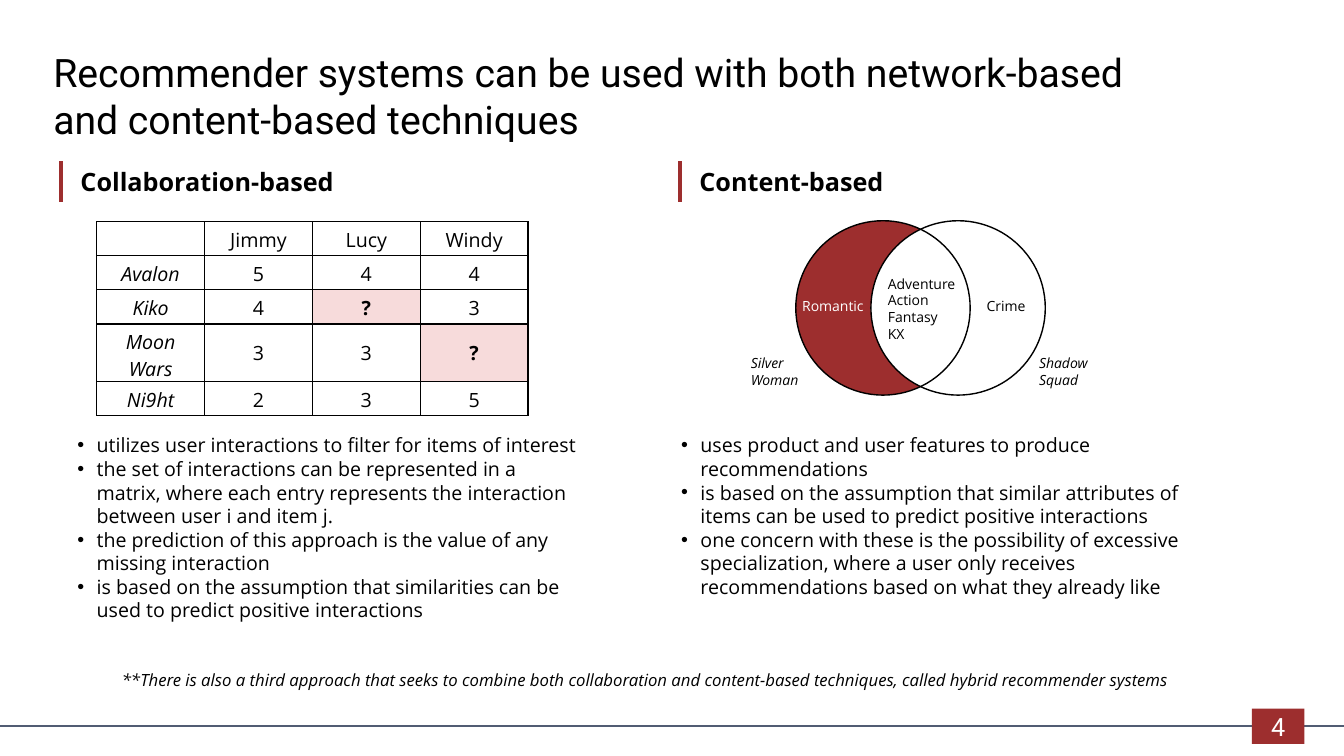
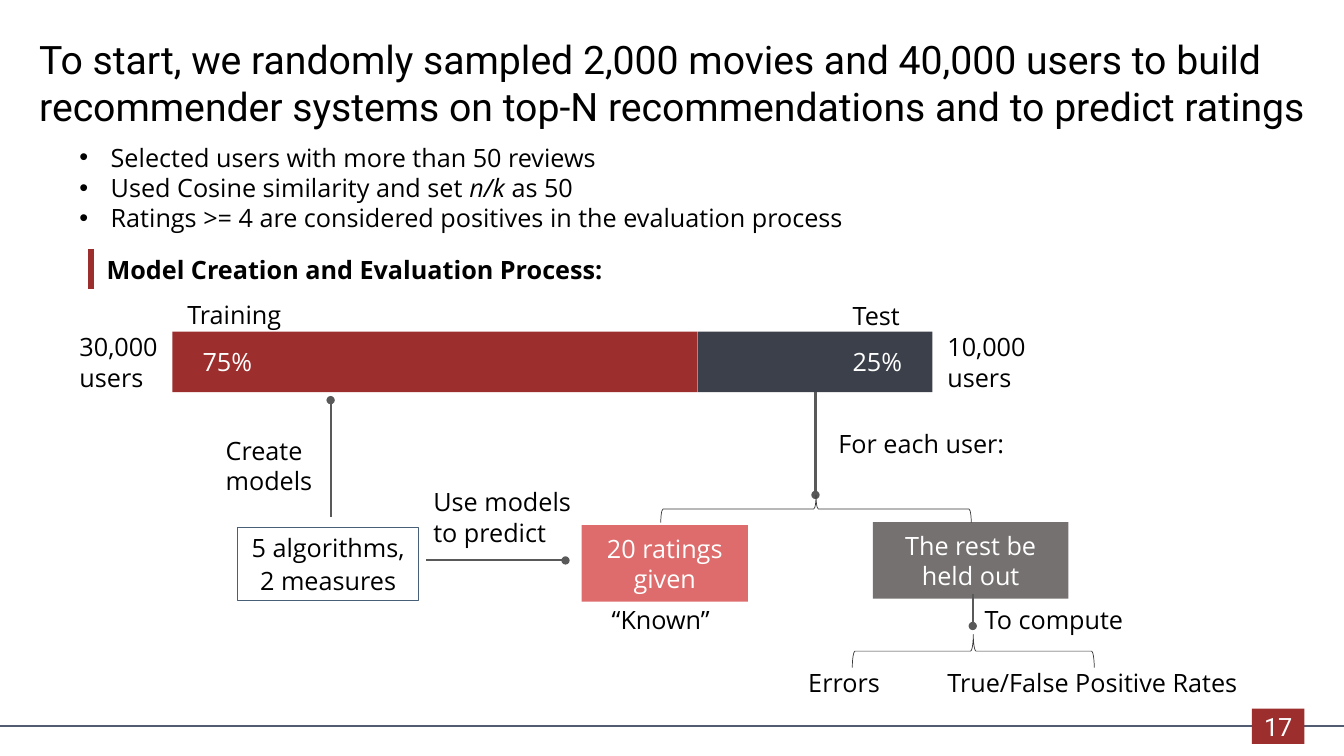
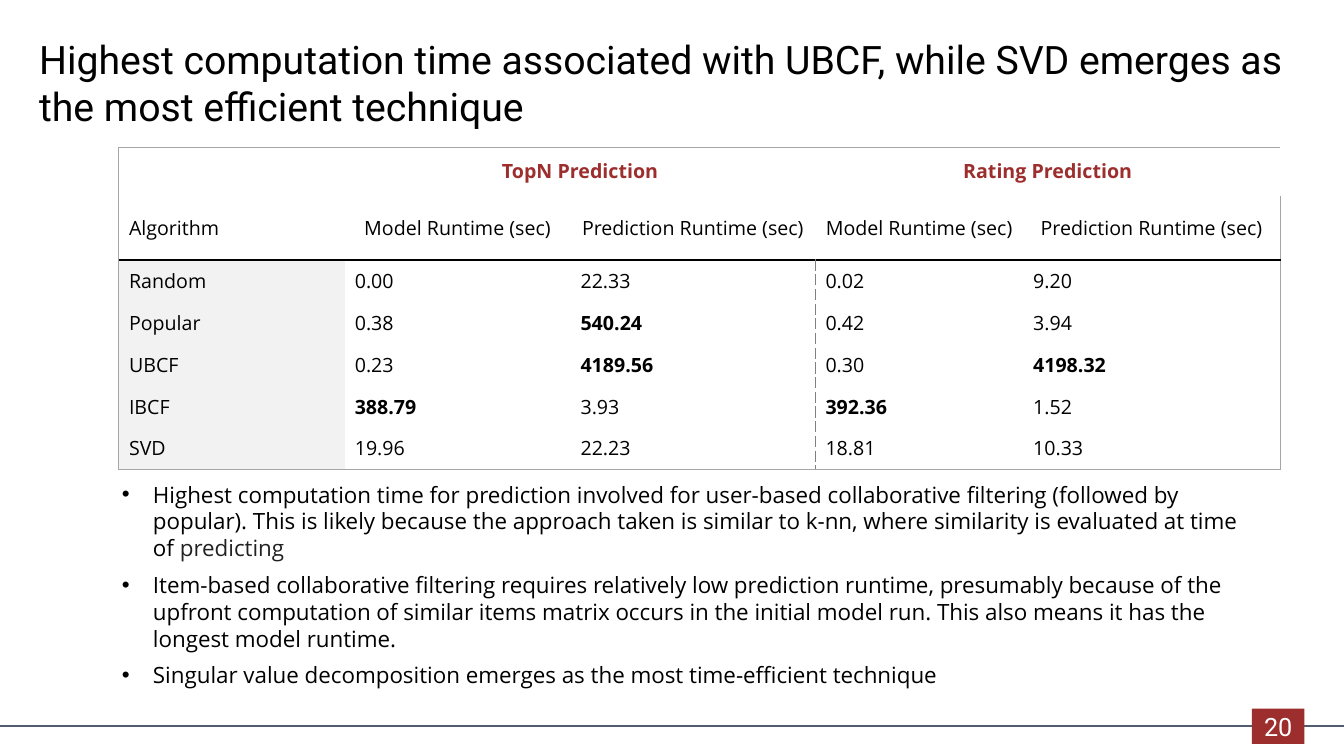
import dataclasses
import typing

import lxml.etree
import pptx
import pptx.dml.color
import pptx.enum.dml
import pptx.enum.shapes
import pptx.enum.text
import pptx.oxml.ns
import pptx.slide
import pptx.util

COLUMNS, ROWS = 133.33, 75
RED, PINK, CORAL, SLATE = "9D2E2E", "F7DBDB", "DE6C6C", "3B404A"
BLACK, WHITE, GREY, ARROW = "000000", "FFFFFF", "767171", "595959"
SHAPES = pptx.enum.shapes.MSO_SHAPE
LEFT, CENTER, RIGHT = (
    pptx.enum.text.PP_ALIGN.LEFT,
    pptx.enum.text.PP_ALIGN.CENTER,
    pptx.enum.text.PP_ALIGN.RIGHT,
)


class Box(typing.NamedTuple):
    left: float
    top: float
    width: float
    height: float


class Edge(typing.NamedTuple):
    color: str
    width: float
    dash: str = "solid"


class Label(typing.NamedTuple):
    text: str
    box: Box


class Block(typing.NamedTuple):
    text: str
    box: Box
    fill: str | None
    align: typing.Any = CENTER


class Arrow(typing.NamedTuple):
    dot: tuple[float, float]
    end: tuple[float, float]


@dataclasses.dataclass(frozen=True)
class Style:
    size: float = 18
    color: str = BLACK
    font: str = "Open Sans"
    bold: bool = False
    italic: bool = False
    align: typing.Any = LEFT
    indent: float = 0
    gap: float = 0


TITLE = Style(28, font="Roboto")
HEADING = Style(bold=True)
LABEL = Style()
CELL = Style(14)


def grid(cells: float) -> int:
    return pptx.util.Inches(cells / 10)


def place(box: Box) -> list[int]:
    return [grid(length) for length in box]


def rgb(color: str) -> pptx.dml.color.RGBColor:
    return pptx.dml.color.RGBColor.from_string(color)


def add_element(parent: typing.Any, tag: str, **attributes: str) -> typing.Any:
    return lxml.etree.SubElement(parent, pptx.oxml.ns.qn(tag), attributes)


def format_run(run: typing.Any, style: Style) -> None:
    run.font.size = pptx.util.Pt(style.size)
    run.font.name = style.font
    run.font.bold = style.bold
    run.font.italic = style.italic
    run.font.color.rgb = rgb(style.color)


def write(text_frame: typing.Any, text: str, style: Style) -> None:
    text_frame.text = text
    for index, paragraph in enumerate(text_frame.paragraphs):
        if style.indent:
            properties = paragraph._p.get_or_add_pPr()
            properties.set("marL", str(grid(style.indent)))
            properties.set("indent", str(-grid(style.indent)))
            add_element(properties, "a:buFont", typeface="Arial")
            add_element(properties, "a:buChar", char="•")
        paragraph.alignment = style.align
        if index and style.gap:
            paragraph.space_before = pptx.util.Pt(style.gap)
        for run in paragraph.runs:
            format_run(run, style)
        if not paragraph.runs:
            add_element(paragraph._p, "a:endParaRPr", sz=str(int(style.size * 100)))


def mark(paragraph: typing.Any, part: str, style: Style, marked: Style) -> None:
    before, found, after = paragraph.text.partition(part)
    paragraph.text = before
    format_run(paragraph.runs[0], style)
    for text, look in ((found, marked), (after, style)):
        if text:
            run = paragraph.add_run()
            run.text = text
            format_run(run, look)


def add_text(slide: pptx.slide.Slide, label: Label, style: Style, wrap: bool = True) -> typing.Any:
    text_frame = slide.shapes.add_textbox(*place(label.box)).text_frame
    text_frame.word_wrap = wrap
    write(text_frame, label.text, style)
    return text_frame


def add_shape(
    slide: pptx.slide.Slide,
    kind: typing.Any,
    box: Box,
    fill: str | None = None,
    edge: Edge | None = None,
) -> typing.Any:
    shape = slide.shapes.add_shape(kind, *place(box))
    shape.shadow.inherit = False
    if fill:
        shape.fill.solid()
        shape.fill.fore_color.rgb = rgb(fill)
    else:
        shape.fill.background()
    if edge:
        shape.line.color.rgb = rgb(edge.color)
        shape.line.width = pptx.util.Pt(edge.width)
    else:
        shape.line.fill.background()
    return shape


def add_line(slide: pptx.slide.Slide, line: Arrow, edge: Edge, dotted: bool = False) -> None:
    connector = slide.shapes.add_connector(
        pptx.enum.shapes.MSO_CONNECTOR.STRAIGHT, *[grid(value) for value in line.dot + line.end]
    )
    connector.line.color.rgb = rgb(edge.color)
    connector.line.width = pptx.util.Pt(edge.width)
    if dotted:
        add_element(connector.line._get_or_add_ln(), "a:headEnd", type="oval")
    add_element(connector._element.spPr, "a:effectLst")


def add_brace(slide: pptx.slide.Slide, box: Box) -> None:
    shift = (box.width - box.height) / 2
    upright = Box(box.left + shift, box.top - shift, box.height, box.width)
    brace = add_shape(slide, SHAPES.LEFT_BRACE, upright, edge=Edge("3B3838", 0.5))
    brace.rotation = 90


def add_heading(slide: pptx.slide.Slide, label: Label, bar: float, weight: float) -> None:
    add_text(slide, label, HEADING)
    add_line(slide, Arrow((bar, label.box.top), (bar, label.box.top + 4)), Edge(RED, weight))


def add_table(
    slide: pptx.slide.Slide, box: Box, widths: list[float], heights: list[float]
) -> typing.Any:
    table = slide.shapes.add_table(len(heights), len(widths), *place(box)).table
    table.first_row = table.horz_banding = False
    for column, width in zip(table.columns, widths):
        column.width = grid(width)
    for row, height in zip(table.rows, heights):
        row.height = grid(height)
    return table


def fill_cell(
    cell: typing.Any, text: str, style: Style, fill: str | None, edges: dict[str, Edge]
) -> None:
    write(cell.text_frame, text, style)
    cell.vertical_anchor = pptx.enum.text.MSO_ANCHOR.MIDDLE
    if fill:
        cell.fill.solid()
        cell.fill.fore_color.rgb = rgb(fill)
    else:
        cell.fill.background()
    properties = cell._tc.get_or_add_tcPr()
    for index, side in enumerate("LRTB"):
        edge = edges.get(side)
        line = add_element(properties, f"a:ln{side}")
        if edge:
            line.set("w", str(pptx.util.Pt(edge.width)))
            add_element(add_element(line, "a:solidFill"), "a:srgbClr", val=edge.color)
            add_element(line, "a:prstDash", val=edge.dash)
        else:
            add_element(line, "a:noFill")
        properties.insert(index, line)


def start_slide(
    presentation: typing.Any, number: int, title: str, box: Box = Box(2.9, 3, 128, 10.4)
) -> pptx.slide.Slide:
    slide = presentation.slides.add_slide(presentation.slide_layouts[6])
    add_line(slide, Arrow((0, 72), (COLUMNS, 72)), Edge("515C73", 1.5))
    badge = add_shape(slide, SHAPES.RECTANGLE, Box(124.2, 70.3, 5.2, 3.5), RED)
    write(badge.text_frame, str(number), Style(color=WHITE, font="Roboto", align=CENTER))
    add_text(slide, Label(title, box), TITLE)
    return slide


def add_ratings(slide: pptx.slide.Slide) -> None:
    ratings = [
        ["", "Jimmy", "Lucy", "Windy"],
        ["Avalon", "5", "4", "4"],
        ["Kiko", "4", "?", "3"],
        ["Moon Wars", "3", "3", "?"],
        ["Ni9ht", "2", "3", "5"],
    ]
    table = add_table(slide, Box(9.6, 22, 42.8, 16.9), [10.7] * 4, [3.38] * 5)
    edges = dict.fromkeys("LRTB", Edge(BLACK, 1))
    for row, texts in enumerate(ratings):
        for column, text in enumerate(texts):
            unknown = text == "?"
            style = dataclasses.replace(CELL, align=CENTER, bold=unknown, italic=column == 0)
            fill_cell(table.cell(row, column), text, style, PINK if unknown else None, edges)


def add_venn(slide: pptx.slide.Slide) -> None:
    left, right = Box(78.95, 21.9, 17.3, 17.3), Box(86.4, 21.9, 17.3, 17.3)
    outline = Edge(BLACK, 1)
    for circle, fill, edge in ((left, RED, None), (right, WHITE, outline), (left, None, outline)):
        add_shape(slide, SHAPES.OVAL, circle, fill, edge)
    small = Style(10)
    slanted = Style(10, italic=True)
    add_text(slide, Label("Adventure\nAction\nFantasy\nKX", Box(87.1, 26.8, 9.6, 7.7)), small)
    for label, style in (
        (Label("Romantic", Box(78.6, 29, 8.2, 2.7)), Style(10, WHITE)),
        (Label("Crime", Box(96.9, 29, 5.9, 2.7)), small),
        (Label("Silver\nWoman", Box(73.5, 34.7, 7.2, 4.4)), slanted),
        (Label("Shadow\nSquad", Box(102.1, 34.7, 7.2, 4.4)), slanted),
    ):
        add_text(slide, label, style, wrap=False)


def build_techniques(presentation: typing.Any) -> None:
    slide = start_slide(
        presentation,
        4,
        "Recommender systems can be used with both network-based and content-based techniques",
        Box(4.3, 4.3, 111.2, 10.4),
    )
    add_ratings(slide)
    add_venn(slide)
    for text, left in (("Collaboration-based", 7), ("Content-based", 68.4)):
        add_heading(slide, Label(text, Box(left, 16, 41.8, 4)), left - 0.95, 3)
    bullets = Style(14, indent=1.9)
    add_text(slide, Label(
        "utilizes user interactions to filter for items of interest\n"
        "the set of interactions can be represented in a matrix, where each entry represents "
        "the interaction between user i and item j.\n"
        "the prediction of this approach is the value of any missing interaction\n"
        "is based on the assumption that similarities can be used to predict positive interactions",
        Box(6.7, 42.5, 51.9, 19.9)), bullets)
    add_text(slide, Label(
        "uses product and user features to produce recommendations\n"
        "is based on the assumption that similar attributes of items can be used to predict "
        "positive interactions\n"
        "one concern with these is the possibility of excessive specialization, where a user "
        "only receives recommendations based on what they already like",
        Box(66.6, 42.5, 53.1, 17.5)), bullets)
    add_text(slide, Label(
        "**There is also a third approach that seeks to combine both collaboration and "
        "content-based techniques, called hybrid recommender systems",
        Box(11.1, 66, 112.6, 3)), Style(12, italic=True))


def build_process(presentation: typing.Any) -> None:
    slide = start_slide(
        presentation,
        17,
        "To start, we randomly sampled 2,000 movies and 40,000 users to build recommender "
        "systems on top-N recommendations and to predict ratings",
    )
    settings = add_text(slide, Label(
        "Selected users with more than 50 reviews\n"
        "Used Cosine similarity and set n/k as 50\n"
        "Ratings >= 4 are considered positives in the evaluation process",
        Box(6.9, 13.6, 98, 10)), Style(indent=3.1))
    mark(settings.paragraphs[1], "n/k", LABEL, Style(italic=True))
    add_heading(
        slide, Label("Model Creation and Evaluation Process:", Box(9.6, 24.7, 53, 4)), 9, 4.5
    )
    for block in (
        Block("75%", Box(17.1, 32.9, 52.1, 6), RED, LEFT),
        Block("25%", Box(69.2, 32.9, 23.3, 6), SLATE, RIGHT),
        Block("The rest be held out", Box(86.6, 51.8, 19.4, 7.6), GREY),
        Block("20 ratings given", Box(57.7, 52.1, 16.5, 7.6), CORAL),
        Block("5 algorithms,\n2 measures", Box(23.6, 52.3, 17.9, 7.3), None),
    ):
        edge = None if block.fill else Edge("475F77", 0.75)
        shape = add_shape(slide, SHAPES.RECTANGLE, block.box, block.fill, edge)
        color = WHITE if block.fill else BLACK
        write(shape.text_frame, block.text,
              Style(color=color, align=block.align, gap=0 if block.fill else 2))
        if block.align != CENTER:
            shape.text_frame.margin_left = shape.text_frame.margin_right = grid(3)
    for label in (
        Label("30,000\nusers", Box(6.9, 32.4, 10.5, 7.1)),
        Label("10,000\nusers", Box(93, 32.4, 10.5, 7.1)),
        Label("Training", Box(17.6, 29.2, 12, 4)),
        Label("Test", Box(83.6, 29.3, 10.8, 4)),
        Label("For each user:", Box(82.2, 42, 24.4, 4)),
        Label("Create\nmodels", Box(21.4, 42.7, 10.9, 7.1)),
        Label("Use models\nto predict", Box(42, 47.8, 16.8, 7.1)),
        Label("“Known”", Box(59.7, 59.5, 13.2, 4)),
        Label("To compute", Box(96.7, 59.5, 17.2, 4)),
        Label("Errors", Box(79.2, 65.7, 10.7, 4)),
        Label("True/False Positive Rates", Box(93, 65.7, 32.1, 4)),
    ):
        add_text(slide, label, LABEL)
    for arrow in (
        Arrow((80.9, 49.1), (80.9, 38.9)),
        Arrow((32.8, 39.7), (32.8, 51.3)),
        Arrow((56.1, 55.6), (42.3, 55.6)),
        Arrow((96.5, 62.1), (96.5, 58.9)),
    ):
        add_line(slide, arrow, Edge(ARROW, 1.5), dotted=True)
    add_brace(slide, Box(65.55, 49.15, 30.8, 2.7))
    add_brace(slide, Box(84.55, 62.95, 24, 3.3))


def runtime_edges(row: int, column: int, last_row: int, last_column: int) -> dict[str, Edge]:
    frame, rule, divider = Edge("A6A6A6", 0.75), Edge(BLACK, 1), Edge("808080", 1, "dash")
    rules = (
        ("L", column == 0, frame),
        ("R", column == last_column, frame),
        ("T", row == 0, frame),
        ("B", row == last_row, frame),
        ("B", row == 1, rule),
        ("T", row == 2, rule),
        ("R", row > 1 and column == 2, divider),
        ("L", row > 1 and column == 3, divider),
    )
    return {side: edge for side, applies, edge in rules if applies}


def build_runtimes(presentation: typing.Any) -> None:
    slide = start_slide(
        presentation,
        20,
        "Highest computation time associated with UBCF, while SVD emerges as the most "
        "efficient technique",
    )
    runtimes = [
        ["", "TopN Prediction", "", "Rating Prediction", ""],
        ["Algorithm"] + ["Model Runtime (sec)", "Prediction Runtime (sec)"] * 2,
        ["Random", "0.00", "22.33", "0.02", "9.20"],
        ["Popular", "0.38", "540.24", "0.42", "3.94"],
        ["UBCF", "0.23", "4189.56", "0.30", "4198.32"],
        ["IBCF", "388.79", "3.93", "392.36", "1.52"],
        ["SVD", "19.96", "22.23", "18.81", "10.33"],
    ]
    table = add_table(slide, Box(11.8, 14.6, 115.3, 31.9),
                      [22.4, 22.4, 24.3, 20.6, 25.5], [4.8, 6.4] + [4.15] * 5)
    for row, texts in enumerate(runtimes):
        for column, text in enumerate(texts):
            header = row < 2 and column > 0
            slow = row > 1 and column > 0 and float(text) > 100
            style = Style(14, RED if row == 0 else BLACK, bold=row == 0 or slow,
                          align=CENTER if header else LEFT)
            fill = "F2F2F2" if row > 1 and column == 0 else None
            fill_cell(table.cell(row, column), text, style, fill, runtime_edges(row, column, 6, 4))
    for column in (1, 3):
        table.cell(0, column).merge(table.cell(0, column + 1))
    notes = Style(16, indent=3.1, gap=7)
    findings = add_text(slide, Label(
        "Highest computation time for prediction involved for user-based collaborative filtering "
        "(followed by popular). This is likely because the approach taken is similar to k-nn, "
        "where similarity is evaluated at time of predicting\n"
        "Item-based collaborative filtering requires relatively low prediction runtime, "
        "presumably because of the upfront computation of similar items matrix occurs in the "
        "initial model run. This also means it has the longest model runtime.\n"
        "Singular value decomposition emerges as the most time-efficient technique",
        Box(11.1, 47.2, 115.3, 22.2)), notes)
    mark(findings.paragraphs[0], "predicting", notes, Style(16, "222222"))


def main() -> None:
    presentation = pptx.Presentation()
    presentation.slide_width, presentation.slide_height = grid(COLUMNS), grid(ROWS)
    for build in (build_techniques, build_process, build_runtimes):
        build(presentation)
    presentation.save("out.pptx")


if __name__ == "__main__":
    main()
